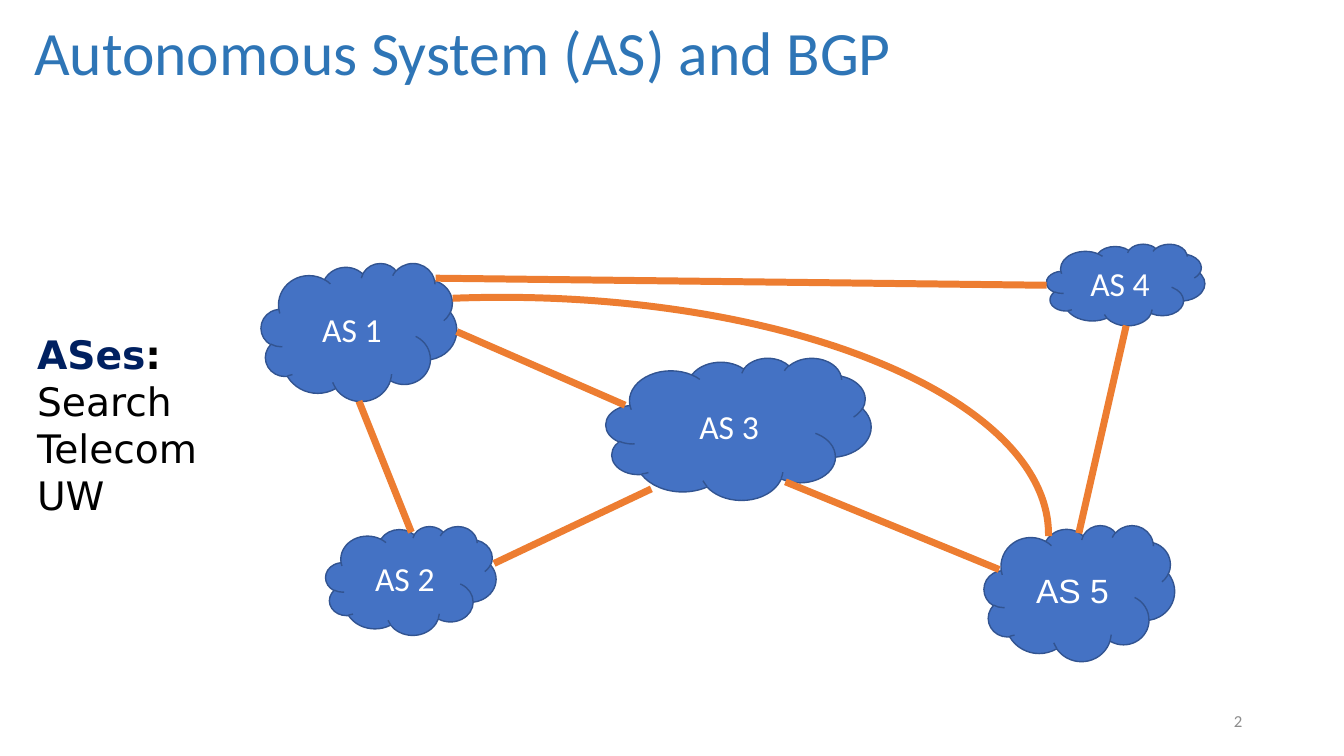
"""Draw five autonomous systems and the BGP links between them."""
from typing import Any, NamedTuple

from lxml import etree
from pptx import Presentation
from pptx import util as u
from pptx.dml.color import RGBColor
from pptx.enum import shapes, text
from pptx.oxml import ns

BLUE = RGBColor(0x44, 0x72, 0xC4)
EDGE = RGBColor(0x32, 0x54, 0x91)
ORANGE = RGBColor(0xED, 0x7D, 0x31)
TITLE = RGBColor(0x2E, 0x75, 0xB6)
NAVY = RGBColor(0x00, 0x20, 0x60)
GREY = RGBColor(0x8C, 0x8C, 0x8C)
BLACK = RGBColor(0, 0, 0)
WHITE = RGBColor(0xFF, 0xFF, 0xFF)

Box = tuple[float, float, float, float]


class Cloud(NamedTuple):
    label: str
    box: Box
    face: str = "Calibri"


class Link(NamedTuple):
    start: tuple[float, float]
    end: tuple[float, float]


class Run(NamedTuple):
    words: str
    color: RGBColor
    font: dict[str, Any]


class Note(NamedTuple):
    box: Box
    frame: dict[str, Any]
    para: dict[str, Any]
    lines: list[list[Run]]


CLOUDS = [
    Cloud("AS 1", (2.59, 2.61, 1.94, 1.37)),
    Cloud("AS 2", (3.23, 5.22, 1.69, 1.08)),
    Cloud("AS 3", (6.01, 3.55, 2.63, 1.41)),
    Cloud("AS 4", (10.38, 2.42, 1.57, 0.81)),
    Cloud("AS 5", (9.76, 5.21, 1.89, 1.35), "Arial"),
]
LINKS = [
    Link((3.56, 3.98), (4.08, 5.28)),
    Link((4.53, 3.29), (6.2, 4.02)),
    Link((6.46, 4.85), (4.9, 5.59)),
    Link((10.38, 2.83), (4.32, 2.76)),
    Link((11.17, 3.23), (10.7, 5.29)),
    Link((7.79, 4.78), (9.91, 5.65)),
]
ARC = (-0.44, 2.95, 10.84, 4.7)
LIST = {"name": "DejaVu Sans", "size": u.Pt(28)}
BOLD = LIST | {"bold": True}
NOTES = [
    Note((0.24, 0, 14.12, 0.93),
         {"word_wrap": True, "vertical_anchor": text.MSO_ANCHOR.BOTTOM},
         {"line_spacing": 0.9},
         [[Run("Autonomous System (AS) and BGP", TITLE,
               {"name": "Calibri", "size": u.Pt(44)})]]),
    Note((0.27, 3.23, 1.9, 1.99),
         {"word_wrap": False, "auto_size": text.MSO_AUTO_SIZE.SHAPE_TO_FIT_TEXT},
         {},
         [[Run("ASes", NAVY, BOLD), Run(":", BLACK, BOLD)],
          *[[Run(name, BLACK, LIST)] for name in ("Search", "Telecom", "UW")]]),
    Note((9.42, 6.95, 3, 0.4),
         {"word_wrap": True, "vertical_anchor": text.MSO_ANCHOR.MIDDLE},
         {"alignment": text.PP_ALIGN.RIGHT},
         [[Run("2", GREY, {"name": "Calibri", "size": u.Pt(12)})]]),
]


def apply(item: Any, values: dict[str, Any]) -> None:
    for key, value in values.items():
        setattr(item, key, value)


def place(box: Box) -> list[u.Length]:
    return [u.Inches(side) for side in box]


def stroke(line: Any, color: RGBColor, width: float) -> None:
    line.color.rgb = color
    line.width = u.Pt(width)


def write(frame: Any, lines: list[list[Run]], para: dict[str, Any]) -> None:
    for index, runs in enumerate(lines):
        row = frame.add_paragraph() if index else frame.paragraphs[0]
        apply(row, para)
        for run in runs:
            part = row.add_run()
            part.text = run.words
            apply(part.font, run.font)
            part.font.color.rgb = run.color


def draw_cloud(tree: Any, cloud: Cloud) -> None:
    shape = tree.add_shape(shapes.MSO_SHAPE.CLOUD, *place(cloud.box))
    shape.shadow.inherit = False
    shape.fill.solid()
    shape.fill.fore_color.rgb = BLUE
    stroke(shape.line, EDGE, 1)
    shape.text_frame.vertical_anchor = text.MSO_ANCHOR.MIDDLE
    font = {"name": cloud.face, "size": u.Pt(24)}
    write(shape.text_frame, [[Run(cloud.label, WHITE, font)]],
          {"alignment": text.PP_ALIGN.CENTER})


def draw_link(tree: Any, link: Link) -> None:
    line = tree.add_connector(shapes.MSO_CONNECTOR.STRAIGHT,
                              *place(link.start + link.end))
    stroke(line.line, ORANGE, 5)
    etree.SubElement(line._element.spPr, ns.qn("a:effectLst"))


def draw_arc(tree: Any) -> None:
    arc = tree.add_shape(shapes.MSO_SHAPE.ARC, *place(ARC))
    arc.shadow.inherit = False
    arc.fill.background()
    stroke(arc.line, ORANGE, 5)
    arc.adjustments[0] = 154.9
    arc.adjustments[1] = 0.12


def draw_note(tree: Any, note: Note) -> None:
    frame = tree.add_textbox(*place(note.box)).text_frame
    apply(frame, note.frame)
    write(frame, note.lines, note.para)


def main() -> None:
    deck = Presentation()
    apply(deck, {"slide_width": u.Inches(13.33), "slide_height": u.Inches(7.5)})
    tree = deck.slides.add_slide(deck.slide_layouts[6]).shapes
    group = tree.add_group_shape().shapes
    for cloud in CLOUDS:
        draw_cloud(group, cloud)
    for link in LINKS:
        draw_link(tree, link)
    draw_arc(tree)
    for note in NOTES:
        draw_note(tree, note)
    deck.save("out.pptx")


if __name__ == "__main__":
    main()
